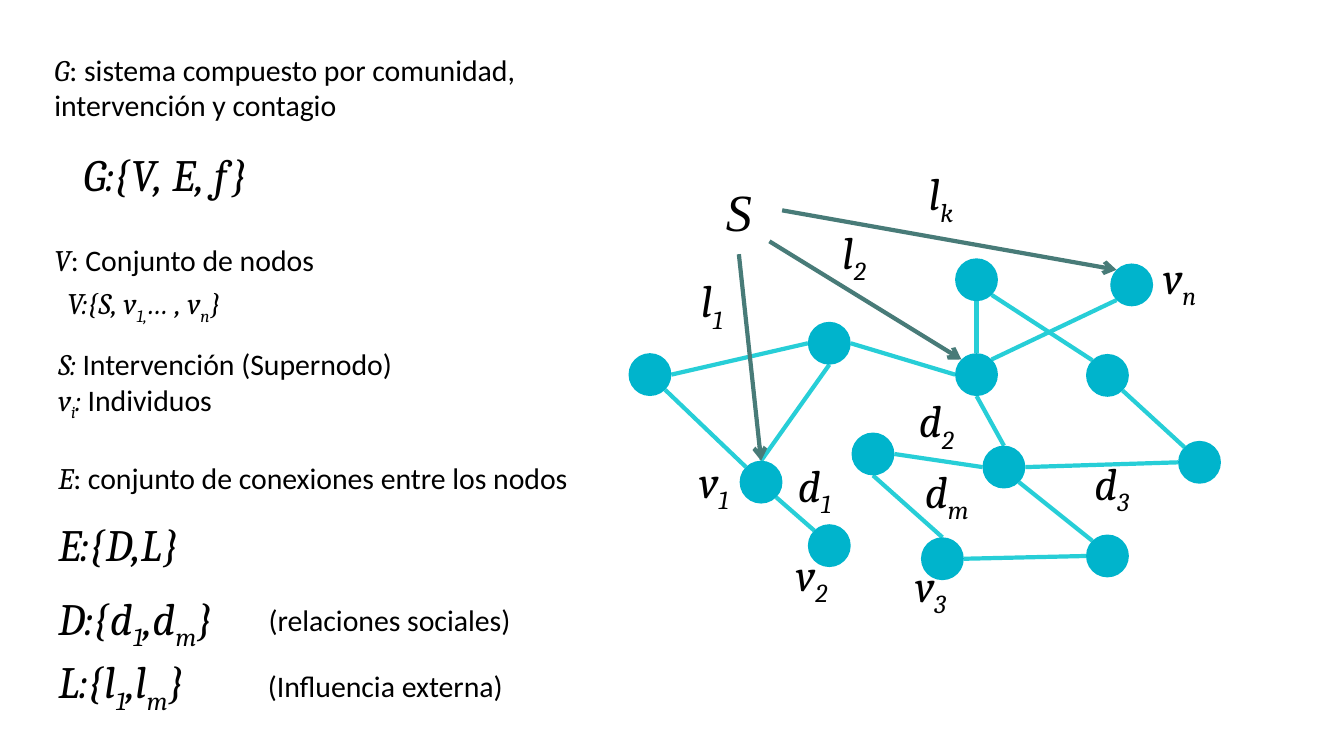
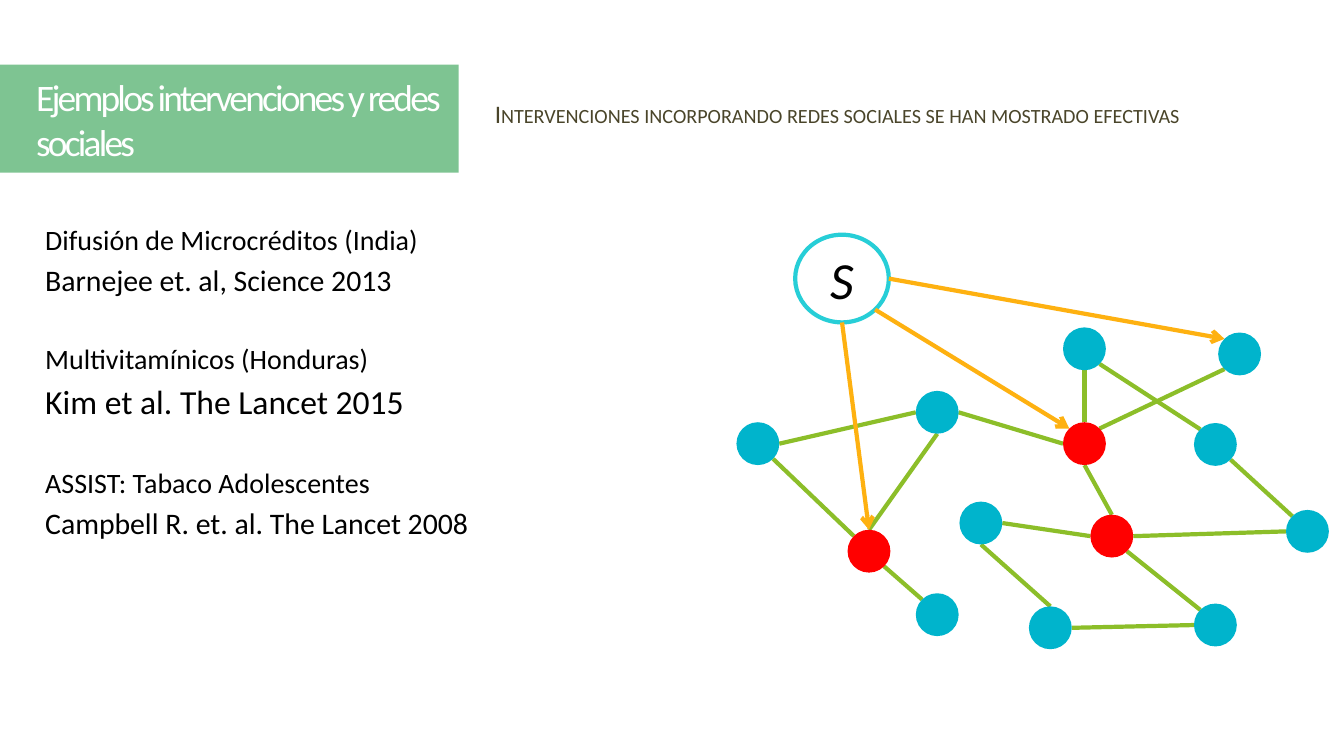
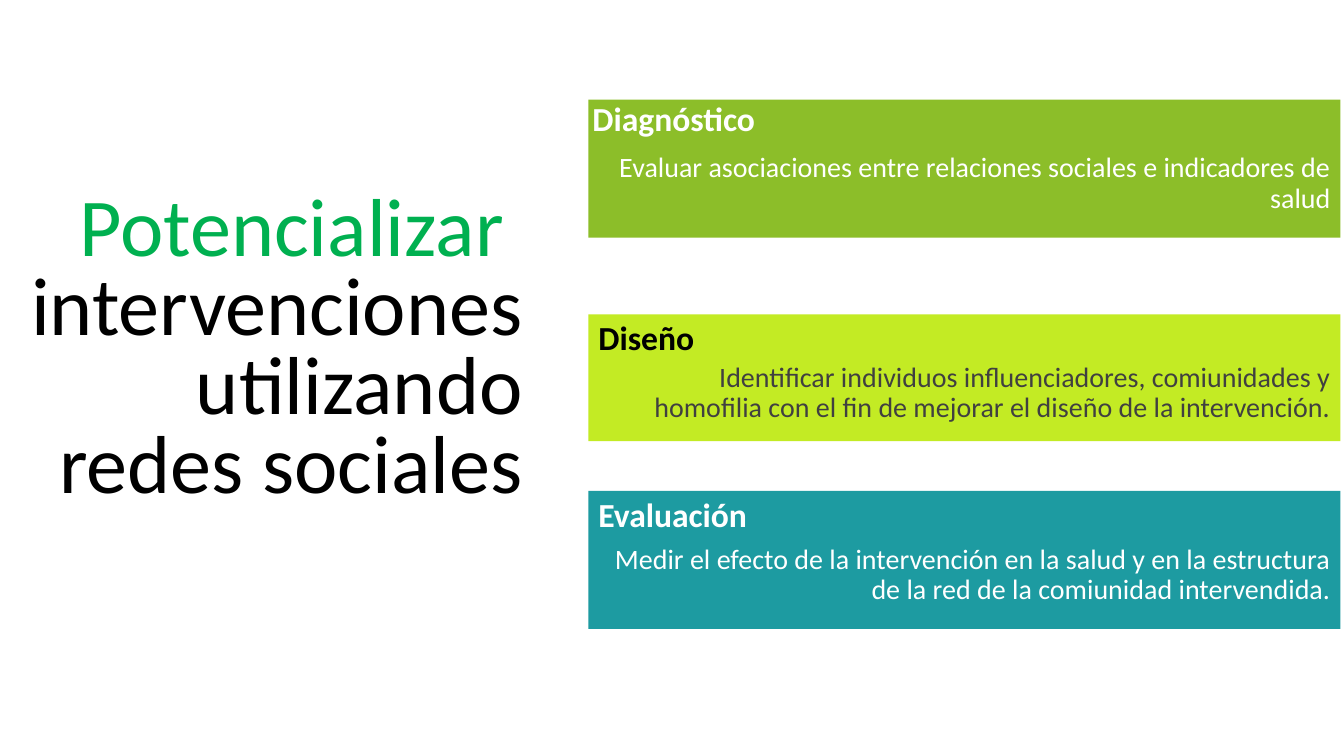
import math

import pptx
import pptx.dml.color
import pptx.enum.shapes
import pptx.enum.text
import pptx.oxml.ns
import pptx.util

Cm = pptx.util.Cm
Pt = pptx.util.Pt
ALIGN = pptx.enum.text.PP_ALIGN
ANCHOR = pptx.enum.text.MSO_ANCHOR
SHAPE = pptx.enum.shapes.MSO_SHAPE

COLORS = {
    "black": "000000", "white": "FFFFFF", "node": "00B4CC", "seed": "FF0000",
    "cyan": "27CED7", "slate": "487B78", "lime": "8CBE29", "amber": "FEB111",
    "band": "7EC492", "olive": "4A452A", "green": "00B050", "bright": "C3EB24",
    "teal": "1D9BA1", "gray": "404040",
}
BODY, MATH, SUB = "body", "math", "sub"
BODY_FONT, MATH_FONT = "Calibri", "Cambria"

NODE_SIZE = 1.08
NODES = {
    "v1": (19.18, 12.15), "v2": (20.9, 13.75), "v3": (23.75, 14.08),
    "west": (16.38, 9.44), "inner": (22, 11.44), "top": (24.61, 7.05),
    "upper": (20.9, 8.65), "hub": (24.61, 9.44), "right": (27.91, 9.46),
    "core": (25.3, 11.77), "east": (30.23, 11.65), "south": (27.91, 14.01),
    "vn": (28.52, 7.18),
}
COMPASS = {"e": 0, "se": 45, "s": 90, "sw": 135,
           "w": 180, "nw": 225, "n": 270, "ne": 315}
RELATIONS = [
    ("v1", "se", "v2", "nw"), ("inner", "e", "core", "w"),
    ("core", "e", "east", "w"), ("upper", "e", "hub", "w"),
    ("west", "e", "upper", "w"), ("west", "se", "v1", "nw"),
    ("upper", "s", "v1", "n"), ("hub", "ne", "vn", "sw"),
    ("right", "nw", "top", "se"), ("east", "nw", "right", "se"),
    ("hub", "n", "top", "s"), ("core", "n", "hub", "s"),
    ("south", "nw", "core", "se"), ("south", "w", "v3", "e"),
    ("inner", "s", "v3", "n"),
]
INFLUENCES = [("S", "s", "v1", "n"), ("S", "se", "hub", "nw"), ("S", "e", "vn", "nw")]

DEFINITIONS = [
    (1.12, 1.17, 14.12, 21.3, [[("G", MATH), (": sistema compuesto por comunidad, intervención y contagio", BODY)]]),
    (1.85, 3.58, 6.43, 32, [[("G:{V, E, f}", MATH)]]),
    (1.12, 5.97, 10.19, 21.3, [[("V", MATH), (": Conjunto de nodos", BODY)]]),
    (1.45, 7.06, 7.47, 21.3, [[("V:{S, v", MATH), ("1,", SUB), ("… , v", MATH), ("n", SUB), ("}", MATH)]]),
    (1.22, 8.59, 12.7, 21.3, [[("S: ", MATH), ("Intervención (Supernodo)", BODY)],
                              [("v", MATH), ("i", SUB), (": ", MATH), ("Individuos", BODY)]]),
    (1.22, 11.46, 15.54, 21.3, [[("E", MATH), (": conjunto de conexiones entre los nodos", BODY)]]),
    (1.22, 12.9, 5.18, 32, [[("E:{D,L}", MATH)]]),
    (1.22, 14.76, 5.44, 32, [[("D:{d", MATH), ("1", SUB), (",d", MATH), ("m", SUB), ("}", MATH)]]),
    (1.22, 16.36, 5.44, 32, [[("L:{l", MATH), ("1", SUB), (",l", MATH), ("m", SUB), ("}", MATH)]]),
    (6.52, 15.04, 8.85, 21.3, [[("(relaciones sociales)", BODY)]]),
    (6.5, 16.69, 8.85, 21.3, [[("(Influencia externa)", BODY)]]),
]
NETWORK_LABELS = [
    ("l", "k", 23.16, 4.06), ("l", "2", 20.98, 5.54), ("l", "1", 17.42, 6.76),
    ("d", "1", 19.86, 11.4), ("d", "2", 22.91, 9.78), ("d", "3", 27.33, 11.35),
    ("d", "m", 23.06, 11.56), ("v", "1", 17.37, 11.3), ("v", "2", 19.81, 13.64),
    ("v", "3", 22.81, 13.92), ("v", "n", 29.06, 6.17),
]
STUDIES = [
    ("Difusión de Microcréditos (India)", "Barnejee et. al, Science 2013", 21.3),
    ("Multivitamínicos (Honduras)", "Kim et al. The Lancet 2015", 24),
    ("ASSIST: Tabaco Adolescentes", "Campbell R. et. al. The Lancet 2008", 21.3),
]
STAGES = [
    ("Diagnóstico", "Evaluar asociaciones entre relaciones sociales e indicadores de salud",
     2.51, 3.48, 0.25, "lime", "white", "white", (14.68, 2.34)),
    ("Diseño", "Identificar individuos influenciadores, comiunidades y homofilia con el fin "
     "de mejorar el diseño de la intervención.",
     7.92, 3.2, 0.76, "bright", "black", "gray", (14.83, 7.87)),
    ("Evaluación", "Medir el efecto de la intervención en la salud y en la estructura de la red "
     "de la comiunidad intervendida.",
     12.37, 3.48, 0.25, "teal", "white", "white", (14.83, 12.32)),
]


def rgb(name):
    return pptx.dml.color.RGBColor.from_string(COLORS[name])


def style(paragraph, size, color="black", font=BODY_FONT, bold=None, italic=None):
    paragraph.font.size = Pt(size)
    paragraph.font.color.rgb = rgb(color)
    if font:
        paragraph.font.name = font
    paragraph.font.bold = bold
    paragraph.font.italic = italic


def add_text_area(slide, left, top, width, height):
    frame = slide.shapes.add_textbox(Cm(left), Cm(top), Cm(width), Cm(height)).text_frame
    frame.word_wrap = True
    return frame


def next_paragraph(frame, index):
    return frame.paragraphs[0] if index == 0 else frame.add_paragraph()


def add_line(slide, left, top, width, text, size, color="black", bold=None):
    paragraph = add_text_area(slide, left, top, width, 1.2).paragraphs[0]
    paragraph.text = text
    style(paragraph, size, color, bold=bold)
    return paragraph


def add_notation(slide, left, top, width, size, lines):
    frame = add_text_area(slide, left, top, width, 1.2 * len(lines))
    for index, pieces in enumerate(lines):
        paragraph = next_paragraph(frame, index)
        style(paragraph, size, font=None)
        for text, kind in pieces:
            run = paragraph.add_run()
            run.text = text
            run.font.name = BODY_FONT if kind == BODY else MATH_FONT
            run.font.italic = kind != BODY
            if kind == SUB:
                run.font._element.set("baseline", "-25000")


def add_block(slide, preset, left, top, width, height, fill, outline=None):
    block = slide.shapes.add_shape(preset, Cm(left), Cm(top), Cm(width), Cm(height))
    block.shadow.inherit = False
    block.fill.solid()
    block.fill.fore_color.rgb = rgb(fill)
    if outline:
        block.line.color.rgb = rgb(outline)
        block.line.width = Pt(3)
    else:
        block.line.fill.background()
    block.text_frame.word_wrap = True
    block.text_frame.vertical_anchor = ANCHOR.MIDDLE
    return block


def add_ellipse(slide, oval, fill, outline=None):
    x, y, width, height = oval
    return add_block(slide, SHAPE.OVAL, x - width / 2, y - height / 2,
                     width, height, fill, outline)


def rim_point(oval, direction):
    x, y, width, height = oval
    angle = math.radians(COMPASS[direction])
    return Cm(x + width / 2 * math.cos(angle)), Cm(y + height / 2 * math.sin(angle))


def add_links(slide, ovals, links, color, arrow=False):
    for start, start_side, end, end_side in links:
        link = slide.shapes.add_connector(
            pptx.enum.shapes.MSO_CONNECTOR.STRAIGHT,
            *rim_point(ovals[start], start_side), *rim_point(ovals[end], end_side))
        link.line.color.rgb = rgb(color)
        link.line.width = Pt(3)
        properties = link.element.spPr
        if arrow:
            outline = properties.find(pptx.oxml.ns.qn("a:ln"))
            outline.append(pptx.oxml.parse_xml(
                '<a:tailEnd %s type="arrow"/>' % pptx.oxml.ns.nsdecls("a")))
        properties.append(pptx.oxml.parse_xml(
            "<a:effectLst %s/>" % pptx.oxml.ns.nsdecls("a")))


def add_network(slide, supernode, supernode_font, relation_color, influence_color,
                offset=(0, 0), seeds=(), supernode_outline=None):
    ovals = {name: (x + offset[0], y + offset[1], NODE_SIZE, NODE_SIZE)
             for name, (x, y) in NODES.items()}
    add_links(slide, ovals, RELATIONS, relation_color)
    for name, oval in ovals.items():
        add_ellipse(slide, oval, "seed" if name in seeds else "node")
    ovals["S"] = supernode
    intervention = add_ellipse(slide, supernode, "white", supernode_outline)
    letter = intervention.text_frame.paragraphs[0]
    letter.text = "S"
    letter.alignment = ALIGN.CENTER
    style(letter, 37.3, font=supernode_font, italic=True)
    add_links(slide, ovals, INFLUENCES, influence_color, arrow=True)


def build_model(slide):
    add_network(slide, (18.62, 5.3, 2.18, 2.21), "Times New Roman", "cyan", "slate")
    for definition in DEFINITIONS:
        add_notation(slide, *definition)
    for letter, subscript, left, top in NETWORK_LABELS:
        add_notation(slide, left, top, 2.1, 32, [[(letter, MATH), (subscript, SUB)]])


def build_examples(slide):
    band = add_block(slide, SHAPE.RECTANGLE, 0, 1.63, 11.56, 2.72, "band")
    band.text_frame.margin_left = Cm(0.91)
    title = band.text_frame.paragraphs[0]
    title.alignment = ALIGN.LEFT
    title_run = title.add_run()
    title_run.text = "Ejemplos intervenciones y redes sociales"
    title_run.font._element.set("spc", "-200")
    style(title, 26.7, "white")

    subtitle = add_line(slide, 12.22, 2.51, 20.6,
                        "Intervenciones incorporando redes sociales se han mostrado efectivas",
                        18, "olive")
    subtitle.line_spacing = 0.8
    subtitle.runs[0].font._element.set("cap", "small")

    studies = add_text_area(slide, 0.89, 5.49, 17, 9)
    for index, (topic, citation, size) in enumerate(STUDIES):
        heading = next_paragraph(studies, index)
        heading.text = topic
        if index:
            heading.space_before = Pt(31.5)
        style(heading, 20)
        source = studies.add_paragraph()
        source.text = citation
        source.space_before = Pt(4)
        style(source, size)

    add_network(slide, (21.22, 7.02, 2.36, 2.21), BODY_FONT, "lime", "amber",
                (2.72, 1.74), ("v1", "hub", "core"), "cyan")


def build_stages(slide):
    message = add_text_area(slide, 0.08, 4.75, 13.34, 9.55)
    lines = [("Potencializar ", "green"), ("intervenciones utilizando redes sociales", "black")]
    for index, (text, color) in enumerate(lines):
        paragraph = next_paragraph(message, index)
        paragraph.text = text
        paragraph.alignment = ALIGN.RIGHT
        paragraph.line_spacing = 0.8
        style(paragraph, 58.7, color)

    for name, purpose, top, height, indent, fill, name_color, text_color, label_at in STAGES:
        bar = add_block(slide, SHAPE.RECTANGLE, 14.83, top, 18.95, height, fill)
        bar.text_frame.margin_left = Cm(indent)
        bar.text_frame.margin_top = Cm(0.9)
        description = bar.text_frame.paragraphs[0]
        description.text = purpose
        description.alignment = ALIGN.RIGHT
        description.line_spacing = 0.9
        style(description, 20, text_color)
        add_line(slide, *label_at, 8, name, 24, name_color, bold=True)


def main():
    deck = pptx.Presentation()
    deck.slide_width, deck.slide_height = Cm(33.87), Cm(19.05)
    for build in (build_model, build_examples, build_stages):
        build(deck.slides.add_slide(deck.slide_layouts[6]))
    deck.save("out.pptx")


if __name__ == "__main__":
    main()
